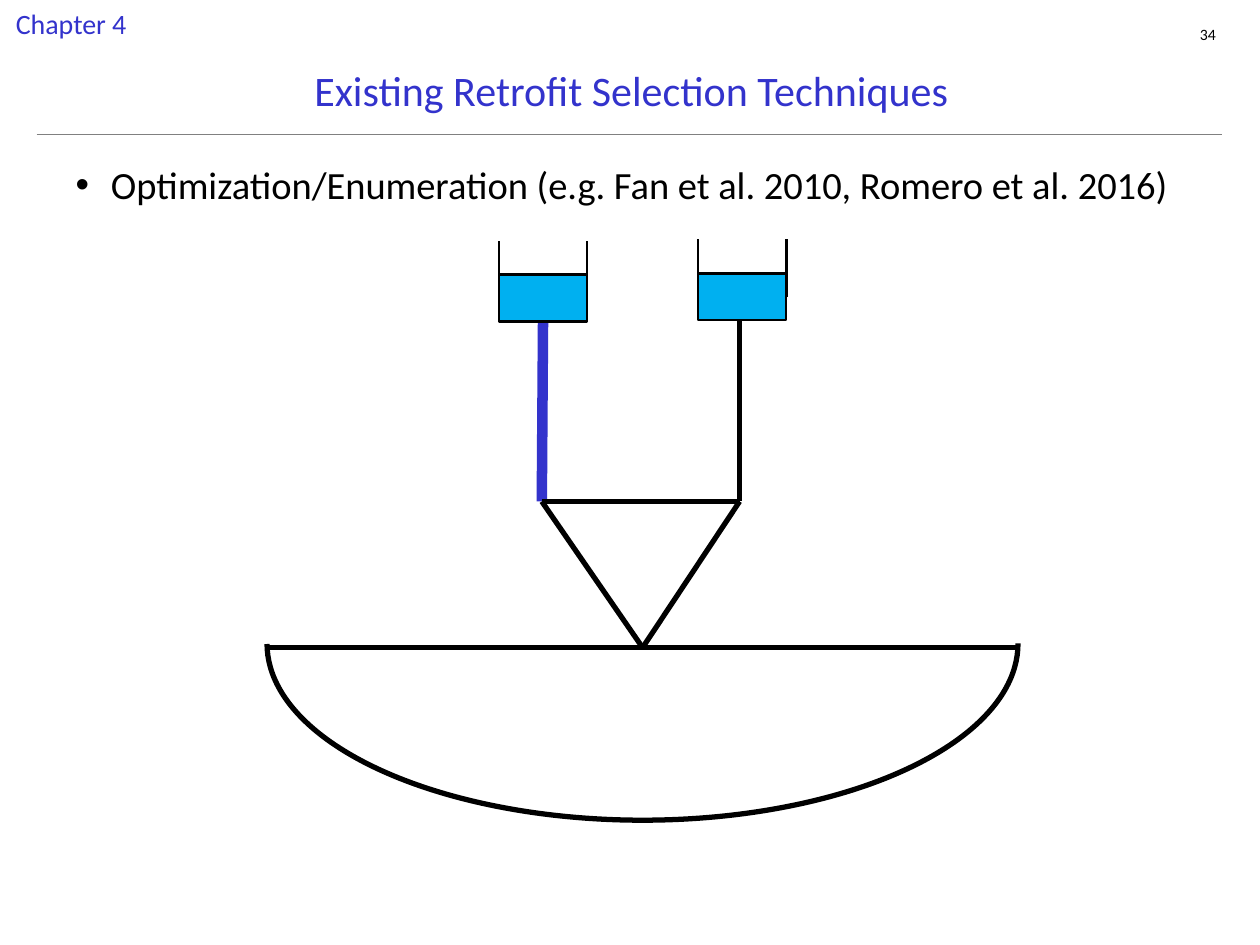
from dataclasses import dataclass

from lxml.etree import SubElement
from pptx import Presentation
from pptx.dml.color import RGBColor
from pptx.enum.shapes import MSO_CONNECTOR as Connector, MSO_SHAPE as Shape
from pptx.enum.text import MSO_ANCHOR as Anchor, MSO_AUTO_SIZE as AutoSize, PP_ALIGN as Align
from pptx.oxml.ns import qn
from pptx.util import Inches, Pt


@dataclass(frozen=True)
class Theme:
    font: str = "Calibri"
    ink: str = "000000"
    accent: str = "3333CC"
    water: str = "00B0F0"
    paper: str = "FFFFFF"
    rule: str = "808080"
    title_size: int = 24
    body_size: int = 22
    chapter_size: int = 16
    number_size: int = 9
    hairline: float = 0.75
    tank_line: float = 1.5
    pipe: int = 3
    thick_pipe: int = 6


class SlideBuilder:
    def __init__(self, slide, theme):
        self.slide, self.theme = slide, theme

    def place(self, shape, bounds):
        for name, value in zip(("left", "top", "width", "height"), bounds):
            setattr(shape, name, Inches(value))

    def set_text(self, shape, text, size, color, align, frame_format=None):
        frame = shape.text_frame
        for name, value in (frame_format or {}).items():
            setattr(frame, name, value)
        para = frame.paragraphs[0]
        para.alignment = align
        span = para.add_run()
        span.text = text
        font_format = {"name": self.theme.font, "size": Pt(size), "bold": False}
        for name, value in font_format.items():
            setattr(span.font, name, value)
        span.font.color.rgb = RGBColor.from_string(color)
        return para

    def title(self, text, bounds):
        box = self.slide.shapes.title
        self.place(box, bounds)
        self.set_text(box, text, self.theme.title_size, self.theme.accent, Align.CENTER,
                      {"vertical_anchor": Anchor.MIDDLE})

    def bullet(self, text, bounds, indent):
        box = self.slide.placeholders[1]
        self.place(box, bounds)
        para = self.set_text(box, text, self.theme.body_size, self.theme.ink, Align.LEFT)
        para.space_before = Pt(0)
        properties = para._p.get_or_add_pPr()
        properties.set("marL", str(Inches(indent)))
        properties.set("indent", str(-Inches(indent)))
        SubElement(properties, qn("a:buFont")).set("typeface", "Arial")
        SubElement(properties, qn("a:buChar")).set("char", "•")

    def label(self, text, bounds, size, color):
        box = self.slide.shapes.add_textbox(*map(Inches, bounds))
        margins = dict.fromkeys(
            ("margin_left", "margin_top", "margin_right", "margin_bottom"), 0)
        self.set_text(box, text, size, color, Align.RIGHT, {**margins, "word_wrap": True})

    def group(self):
        return self.slide.shapes.add_group_shape().shapes

    def shape(self, kind, bounds, fill=None, width=None, parent=None):
        shape = (parent or self.slide.shapes).add_shape(kind, *map(Inches, bounds))
        shape.shadow.inherit = False
        if fill:
            shape.fill.solid()
            shape.fill.fore_color.rgb = RGBColor.from_string(fill)
        else:
            shape.fill.background()
        if width:
            self.stroke(shape, self.theme.ink, width)
        else:
            shape.line.fill.background()
        return shape

    def stroke(self, shape, color, width):
        shape.line.color.rgb = RGBColor.from_string(color)
        shape.line.width = Pt(width)

    def line(self, start, end, width, color=None, parent=None):
        line = (parent or self.slide.shapes).add_connector(
            Connector.STRAIGHT, *map(Inches, (*start, *end)))
        self.stroke(line, color or self.theme.ink, width)
        SubElement(line._element.spPr, qn("a:effectLst"))

    def tank(self, left, bottom):
        """Open vessel: a block of water between two walls."""
        width, depth, wall = 0.7, 0.37, 0.64
        parent = self.group()
        self.shape(Shape.RECTANGLE, (left, bottom - depth, width, depth),
                   self.theme.water, self.theme.tank_line, parent)
        for side in (left, left + width):
            self.line((side, bottom - 0.18), (side, bottom - wall),
                      self.theme.tank_line, parent=parent)


def main():
    theme = Theme()
    deck = Presentation()
    deck.slide_width, deck.slide_height = Inches(10), Inches(7.5)
    page = SlideBuilder(deck.slides.add_slide(deck.slide_layouts[1]), theme)

    # Page number, heading and body
    page.label("34", (8.95, 0.2, 0.7, 0.15), theme.number_size, theme.ink)
    page.line((0.29, 1.07), (9.7, 1.07), theme.hairline, theme.rule)
    page.title("Existing Retrofit Selection Techniques", (0.51, 0.44, 9, 0.55))
    page.bullet("Optimization/Enumeration (e.g. Fan et al. 2010, Romero et al. 2016)",
                (0.5, 1.23, 9, 5.9), 0.28)

    # Pipe network: two feeds, a triangle and a loop below it
    left_tank, right_tank = (4.31, 2.54), (5.87, 2.54)
    left_node, right_node, hub = (4.3, 3.98), (5.87, 3.98), (5.1, 5.14)
    loop_left, loop_right = (2.11, 5.14), (8.08, 5.14)
    network = page.group()
    page.line(right_tank, right_node, theme.pipe, parent=network)
    page.line(left_tank, left_node, theme.thick_pipe, theme.accent, network)
    loop = page.shape(Shape.ARC, (2.12, 3.71, 5.96, 2.8), width=theme.pipe, parent=network)
    loop.adjustments[0], loop.adjustments[1] = 215.97, 107.98
    for start, end in ((loop_left, hub), (left_node, right_node), (left_node, hub),
                       (right_node, hub), (hub, loop_right)):
        page.line(start, end, theme.pipe, parent=network)

    # Chapter tag
    tag = page.shape(Shape.RECTANGLE, (0, 0, 1.13, 0.37), theme.paper)
    page.set_text(tag, "Chapter 4", theme.chapter_size, theme.accent, Align.CENTER,
                  {"word_wrap": False, "auto_size": AutoSize.SHAPE_TO_FIT_TEXT,
                   "vertical_anchor": Anchor.TOP})

    # Supply tanks
    for left, bottom in ((3.96, 2.55), (5.54, 2.54)):
        page.tank(left, bottom)

    deck.save("out.pptx")


if __name__ == "__main__":
    main()
